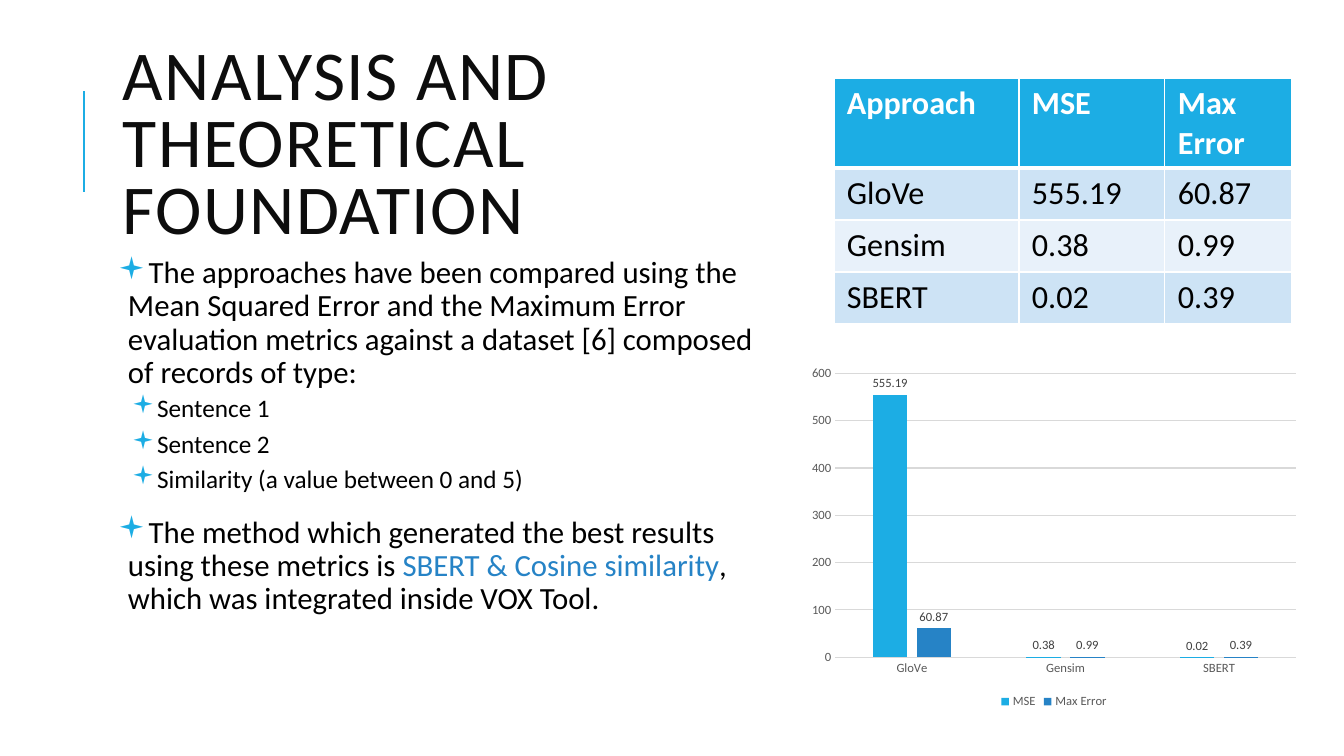
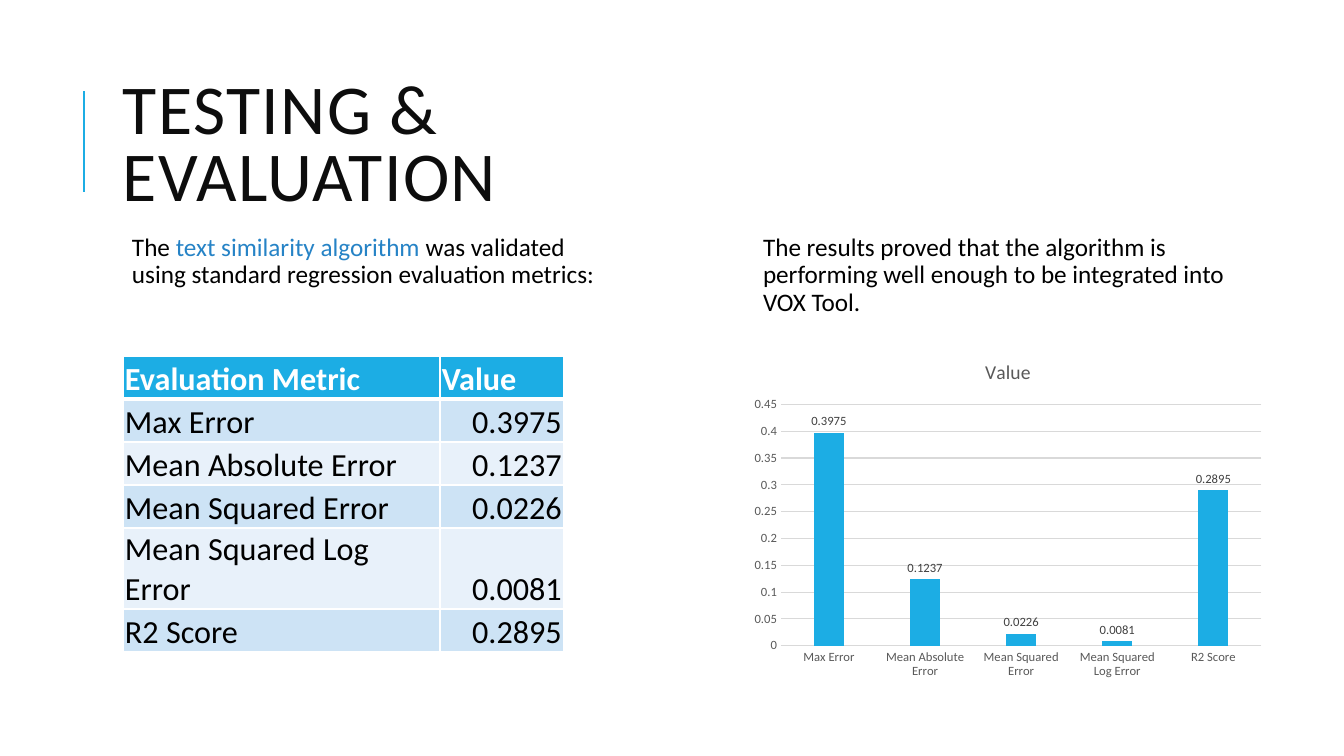
from lxml.etree import SubElement
from pptx import Presentation
from pptx.chart.data import CategoryChartData
from pptx.dml.color import RGBColor
from pptx.enum.chart import XL_CHART_TYPE, XL_LABEL_POSITION, XL_LEGEND_POSITION, XL_TICK_MARK
from pptx.enum.shapes import MSO_CONNECTOR
from pptx.enum.text import MSO_ANCHOR, PP_ALIGN
from pptx.oxml.ns import qn
from pptx.util import Pt

FONT, BULLET_FONT = "Calibri", "Wingdings"
CYAN, BLUE, WHITE, BLACK = "1CADE4", "2683C6", "FFFFFF", "000000"
TITLE_INK, GRAY, LABEL_INK, GRID = "0D0D0D", "595959", "404040", "D9D9D9"
BANDS = ["CDE3F5", "E8F1FA"]

# Paragraph styles: lengths in px, sizes and spacing in points
TOP = dict(size=22, margin=10, hang=10, before=12, after=2, bullet="▪")
SUB = dict(size=18, margin=29, hang=15, before=2, after=4, bullet="▪")
PLAIN = dict(size=18, margin=14, hang=0, before=2, after=4, bullet=None)

# Each paragraph is a style and its runs; a run is text and colour
FINDINGS = [
    (TOP, [("The approaches have been compared using the Mean Squared Error and the Maximum Error "
            "evaluation metrics against a dataset [6] composed of records of type:", BLACK)]),
    (SUB, [("Sentence 1", BLACK)]),
    (SUB, [("Sentence 2", BLACK)]),
    (SUB, [("Similarity (a value between 0 and 5)", BLACK)]),
    (TOP, [("The method which generated the best results using these metrics is ", BLACK),
           ("SBERT & Cosine similarity", BLUE),
           (", which was integrated inside VOX Tool.", BLACK)]),
]
VALIDATION = [
    (PLAIN, [("The ", BLACK), ("text similarity algorithm ", BLUE),
             ("was validated using standard regression evaluation metrics:", BLACK)]),
]
CONCLUSION = [
    (PLAIN, [("The results proved that the algorithm is performing well enough "
              "to be integrated into VOX Tool.", BLACK)]),
]
APPROACHES = [
    ("Approach", "MSE", "Max Error"),
    ("GloVe", 555.19, 60.87),
    ("Gensim", 0.38, 0.99),
    ("SBERT", 0.02, 0.39),
]
METRICS = [
    ("Evaluation Metric", "Value"),
    ("Max Error", 0.3975),
    ("Mean Absolute Error", 0.1237),
    ("Mean Squared Error", 0.0226),
    ("Mean Squared Log Error", 0.0081),
    ("R2 Score", 0.2895),
]


def px(n):
    return round(n * 914400 / 100.8)


def rgb(color):
    return RGBColor.from_string(color)


def set_font(font, size, color, bold=False):
    font.name, font.size, font.bold = FONT, Pt(size), bold
    font.color.rgb = rgb(color)


def add_run(p, text, size, color, bold=False):
    r = p.add_run()
    r.text = text
    set_font(r.font, size, color, bold)
    return r


def add_frame(slide, box, inset=5):
    tf = slide.shapes.add_textbox(*map(px, box)).text_frame
    tf.word_wrap = True
    tf.margin_left = tf.margin_right = tf.margin_top = tf.margin_bottom = px(inset)
    return tf


def add_slide(prs, title):
    """Blank slide with the shared accent rule and title."""
    slide = prs.slides.add_slide(prs.slide_layouts[6])
    rule = slide.shapes.add_connector(MSO_CONNECTOR.STRAIGHT, px(84), px(192), px(84), px(91))
    rule.line.color.rgb = rgb(CYAN)
    rule.line.width = Pt(1.5)
    SubElement(rule._element.spPr, qn("a:effectLst"))

    tf = add_frame(slide, (113, 65, 650, 165), inset=10)
    tf.vertical_anchor = MSO_ANCHOR.MIDDLE
    p = tf.paragraphs[0]
    p.line_spacing = 0.8
    r = add_run(p, title, 50, TITLE_INK)
    r.font._element.set("spc", "100")
    return slide


def add_body(slide, box, paragraphs):
    tf = add_frame(slide, box)
    for i, (style, runs) in enumerate(paragraphs):
        p = tf.add_paragraph() if i else tf.paragraphs[0]
        p.line_spacing = 0.9
        p.space_before, p.space_after = Pt(style["before"]), Pt(style["after"])
        pPr = p._p.get_or_add_pPr()
        pPr.set("marL", str(px(style["margin"])))
        pPr.set("indent", str(px(-style["hang"])))
        if style["bullet"]:
            SubElement(SubElement(pPr, qn("a:buClr")), qn("a:srgbClr"), val=CYAN)
            SubElement(pPr, qn("a:buFont"), typeface=BULLET_FONT, pitchFamily="2", charset="2")
            SubElement(pPr, qn("a:buChar"), char=style["bullet"])
        for text, color in runs:
            add_run(p, text, style["size"], color)


def set_borders(cell, bottom, top):
    tcPr = cell._tc.get_or_add_tcPr()
    for side, width in (("L", 1), ("R", 1), ("T", top), ("B", bottom)):
        ln = SubElement(tcPr, qn(f"a:ln{side}"), w=str(Pt(width)))
        SubElement(SubElement(ln, qn("a:solidFill")), qn("a:srgbClr"), val=WHITE)


def add_grid(slide, left, top, widths, heights, rows, insets, anchor, number_align):
    """Banded table with a header row; insets are left, top, right, bottom."""
    size = len(rows), len(widths)
    table = slide.shapes.add_table(*size, px(left), px(top), px(sum(widths)), px(sum(heights))).table
    for column, width in zip(table.columns, widths):
        column.width = px(width)
    for i, (row, height) in enumerate(zip(rows, heights)):
        table.rows[i].height = px(height)
        header = i == 0
        for j, value in enumerate(row):
            cell = table.cell(i, j)
            set_borders(cell, bottom=3 if header else 1, top=3 if i == 1 else 1)
            cell.fill.solid()
            cell.fill.fore_color.rgb = rgb(CYAN if header else BANDS[(i - 1) % 2])
            cell.margin_left, cell.margin_top, cell.margin_right, cell.margin_bottom = map(px, insets)
            cell.vertical_anchor = anchor
            p = cell.text_frame.paragraphs[0]
            if not isinstance(value, str):
                p.alignment = number_align
            add_run(p, str(value), 23, WHITE if header else BLACK, header)


def add_columns(slide, box, rows, title=None, legend=False):
    """Clustered column chart of the same rows as a table."""
    header, *records = rows
    data = CategoryChartData()
    data.categories = [record[0] for record in records]
    for j, name in enumerate(header[1:], 1):
        data.add_series(name, [record[j] for record in records])
    chart = slide.shapes.add_chart(XL_CHART_TYPE.COLUMN_CLUSTERED, *map(px, box), data).chart
    set_font(chart.font, 10, BLACK)

    chart.has_title = title is not None
    if title:
        add_run(chart.chart_title.text_frame.paragraphs[0], title, 14, GRAY)
    chart.has_legend = legend
    if legend:
        chart.legend.position = XL_LEGEND_POSITION.BOTTOM
        chart.legend.include_in_layout = False
        set_font(chart.legend.font, 9, GRAY)

    for axis in (chart.category_axis, chart.value_axis):
        axis.major_tick_mark = axis.minor_tick_mark = XL_TICK_MARK.NONE
        set_font(axis.tick_labels.font, 9, GRAY)
    chart.value_axis.format.line.fill.background()
    for line in (chart.category_axis.format.line, chart.value_axis.major_gridlines.format.line):
        line.color.rgb = rgb(GRID)
        line.width = Pt(0.75)

    plot = chart.plots[0]
    plot.vary_by_categories = False
    plot.gap_width, plot.overlap = 219, -27
    for series, color in zip(plot.series, (CYAN, BLUE)):
        series.format.fill.solid()
        series.format.fill.fore_color.rgb = rgb(color)
        labels = series.data_labels
        labels.show_value = True
        labels.position = XL_LABEL_POSITION.OUTSIDE_END
        set_font(labels.font, 9, LABEL_INK)


def main():
    prs = Presentation()
    prs.slide_width, prs.slide_height = px(1344), px(756)

    slide = add_slide(prs, "ANALYSIS AND THEORETICAL FOUNDATION")
    add_body(slide, (113, 252, 650, 433), FINDINGS)
    add_grid(slide, 834, 78, [185, 146, 127], [90] + [52] * 3, APPROACHES,
             (13, 6, 13, 6), MSO_ANCHOR.TOP, PP_ALIGN.LEFT)
    add_columns(slide, (802, 359, 504, 354), APPROACHES, legend=True)

    slide = add_slide(prs, "TESTING & EVALUATION")
    add_body(slide, (113, 230, 515, 456), VALIDATION)
    add_grid(slide, 123, 356, [317, 124], [43] * 4 + [81, 43], METRICS,
             (2, 2, 2, 0), MSO_ANCHOR.BOTTOM, PP_ALIGN.RIGHT)
    add_columns(slide, (744, 342, 528, 344), METRICS, title="Value")
    add_body(slide, (744, 230, 515, 456), CONCLUSION)

    prs.save("out.pptx")


if __name__ == "__main__":
    main()
